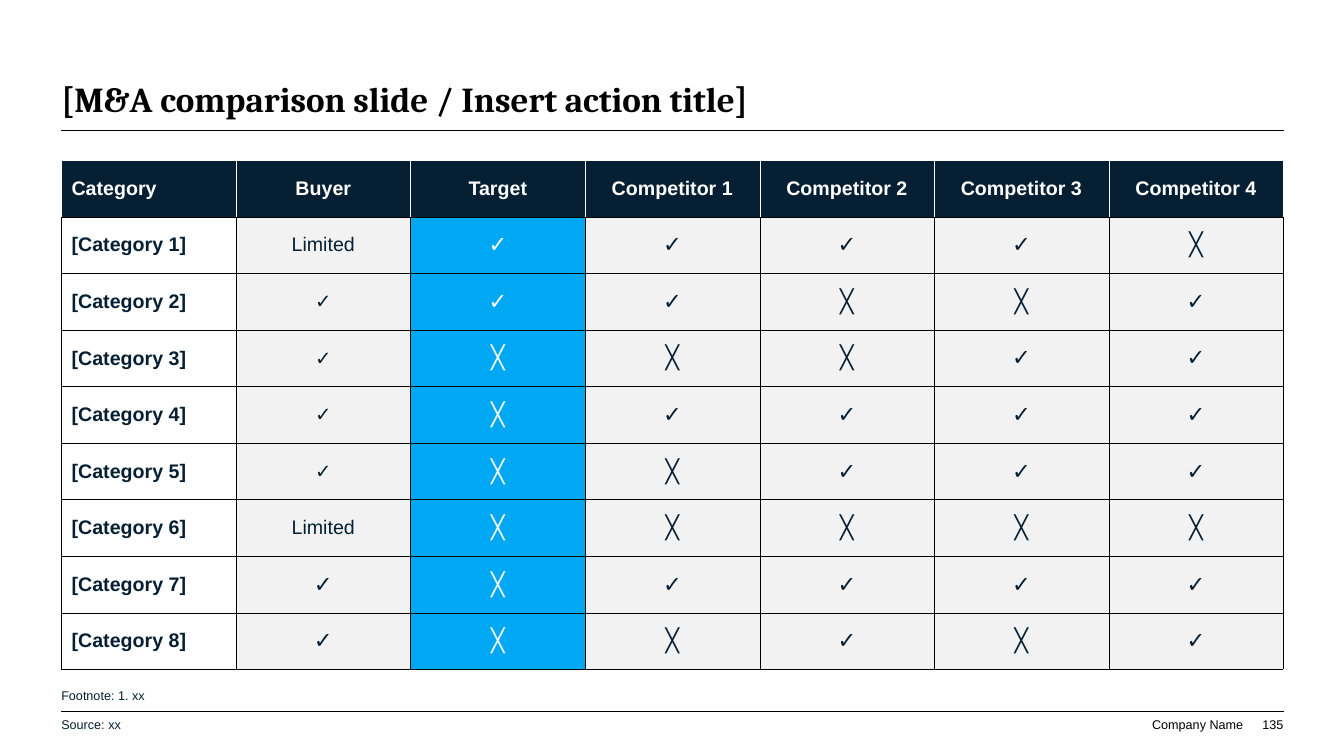
from dataclasses import dataclass

from lxml import etree
from pptx import Presentation
from pptx.dml.color import RGBColor
from pptx.enum.shapes import MSO_CONNECTOR
from pptx.enum.text import MSO_ANCHOR, PP_ALIGN
from pptx.oxml.ns import qn
from pptx.util import Inches, Pt

LEFT, CENTER, RIGHT = PP_ALIGN.LEFT, PP_ALIGN.CENTER, PP_ALIGN.RIGHT
MIDDLE, BOTTOM = MSO_ANCHOR.MIDDLE, MSO_ANCHOR.BOTTOM
STRAIGHT = MSO_CONNECTOR.STRAIGHT
BLANK_LAYOUT = 6


@dataclass(frozen=True)
class Theme:
    heading_font: str = "Cambria"
    body_font: str = "Arial"
    black: str = "000000"
    white: str = "FFFFFF"
    navy: str = "061F32"
    note: str = "062032"
    highlight: str = "00A7F2"
    grey: str = "F2F2F2"
    title_size: float = 25
    mark_size: float = 16
    table_size: float = 14
    note_size: float = 9
    rule_width: float = 0.5
    border_width: float = 0.25


# Table content: Y is a check mark, N a cross
MARKS = {"Y": "✓", "N": "╳", "L": "Limited"}
HEADERS = ["Category", "Buyer", "Target"] + [f"Competitor {n}" for n in range(1, 5)]
RATINGS = ["LYYYYN", "YYYNNY", "YNNNYY", "YNYYYY", "YNNYYY", "LNNNNN", "YNYYYY", "YNNYNY"]
BUYER, TARGET = 1, 2
LARGE_BUYER_MARKS_FROM = 7  # first row whose buyer mark has the full mark size

MARGIN_LEFT, MARGIN_RIGHT = 0.61, 12.73
CONTENT_WIDTH = MARGIN_RIGHT - MARGIN_LEFT


class SlideBuilder:
    def __init__(self, slide, theme):
        self.slide = slide
        self.theme = theme

    def style(self, paragraph, size, color, bold=False, align=LEFT, font=None):
        paragraph.alignment = align
        for run in paragraph.runs:
            run.font.name = font or self.theme.body_font
            run.font.size = Pt(size)
            run.font.bold = bold
            run.font.color.rgb = RGBColor.from_string(color)

    def text(self, text, left, top, width, height, size, color,
             anchor=BOTTOM, insets=(0, 0), wrap=True, **style):
        shape = self.slide.shapes.add_textbox(
            Inches(left), Inches(top), Inches(width), Inches(height))
        text_frame = shape.text_frame
        text_frame.word_wrap = wrap
        text_frame.vertical_anchor = anchor
        text_frame.margin_left = text_frame.margin_right = Inches(insets[0])
        text_frame.margin_top = text_frame.margin_bottom = Inches(insets[1])
        text_frame.text = text
        self.style(text_frame.paragraphs[0], size, color, **style)

    def rule(self, top):
        line = self.slide.shapes.add_connector(
            STRAIGHT, Inches(MARGIN_LEFT), Inches(top), Inches(MARGIN_RIGHT), Inches(top))
        line.line.color.rgb = RGBColor.from_string(self.theme.black)
        line.line.width = Pt(self.theme.rule_width)
        etree.SubElement(line._element.spPr, qn("a:effectLst"))

    def borders(self, cell, side_color, bottom_color):
        properties = cell._tc.get_or_add_tcPr()
        colors = {"L": side_color, "R": side_color, "T": side_color, "B": bottom_color}
        for side, color in colors.items():
            border = etree.SubElement(properties, qn(f"a:ln{side}"),
                                      w=str(Pt(self.theme.border_width)))
            fill = etree.SubElement(border, qn("a:solidFill"))
            etree.SubElement(fill, qn("a:srgbClr"), val=color)

    def cell(self, cell, text, fill, border, size, color, **style):
        self.borders(cell, border, self.theme.black)
        cell.fill.solid()
        cell.fill.fore_color.rgb = RGBColor.from_string(fill)
        cell.vertical_anchor = MIDDLE
        cell.text_frame.text = text
        self.style(cell.text_frame.paragraphs[0], size, color, **style)

    def comparison_table(self, top, height):
        theme = self.theme
        table = self.slide.shapes.add_table(
            len(RATINGS) + 1, len(HEADERS), Inches(MARGIN_LEFT), Inches(top),
            Inches(CONTENT_WIDTH), Inches(height)).table
        table.first_row = table.horz_banding = False

        # Header row
        for column, header in enumerate(HEADERS):
            self.cell(table.cell(0, column), header, theme.navy, theme.white,
                      theme.table_size, theme.white, bold=True,
                      align=CENTER if column else LEFT)

        # Category names and ratings
        for row, ratings in enumerate(RATINGS, start=1):
            self.cell(table.cell(row, 0), f"[Category {row}]", theme.white, theme.black,
                      theme.table_size, theme.navy, bold=True)
            for column, rating in enumerate(ratings, start=1):
                is_target = column == TARGET
                is_small = column == BUYER and row < LARGE_BUYER_MARKS_FROM
                self.cell(table.cell(row, column), MARKS[rating],
                          theme.highlight if is_target else theme.grey, theme.black,
                          theme.table_size if is_small else theme.mark_size,
                          theme.white if is_target else theme.navy, align=CENTER)


def main():
    presentation = Presentation()
    presentation.slide_width = Inches(13.33)
    presentation.slide_height = Inches(7.5)
    slide = presentation.slides.add_slide(presentation.slide_layouts[BLANK_LAYOUT])
    theme = Theme()
    builder = SlideBuilder(slide, theme)

    # Footer identity and rules
    builder.text("Company Name", 11.42, 7.11, 0.91, 0.15, theme.note_size, theme.black,
                 wrap=False, align=RIGHT)
    builder.text("135", 12.37, 7.11, 0.36, 0.15, theme.note_size, theme.black, align=RIGHT)
    for top in (1.29, 7.06):
        builder.rule(top)

    # Title
    builder.text("[M&A comparison slide / Insert action title]", MARGIN_LEFT, 0.39,
                 CONTENT_WIDTH, 0.8, theme.title_size, theme.black, bold=True,
                 font=theme.heading_font)

    # Comparison
    builder.comparison_table(top=1.59, height=5.05)

    # Source and footnote
    for note, top, width in (("Source: xx", 6.99, 7.98), ("Footnote: 1. xx", 6.7, 10.27)):
        builder.text(note, 0.51, top, width, 0.4, theme.note_size, theme.note,
                     anchor=MIDDLE, insets=(0.1, 0.05))

    presentation.save("out.pptx")


if __name__ == "__main__":
    main()
